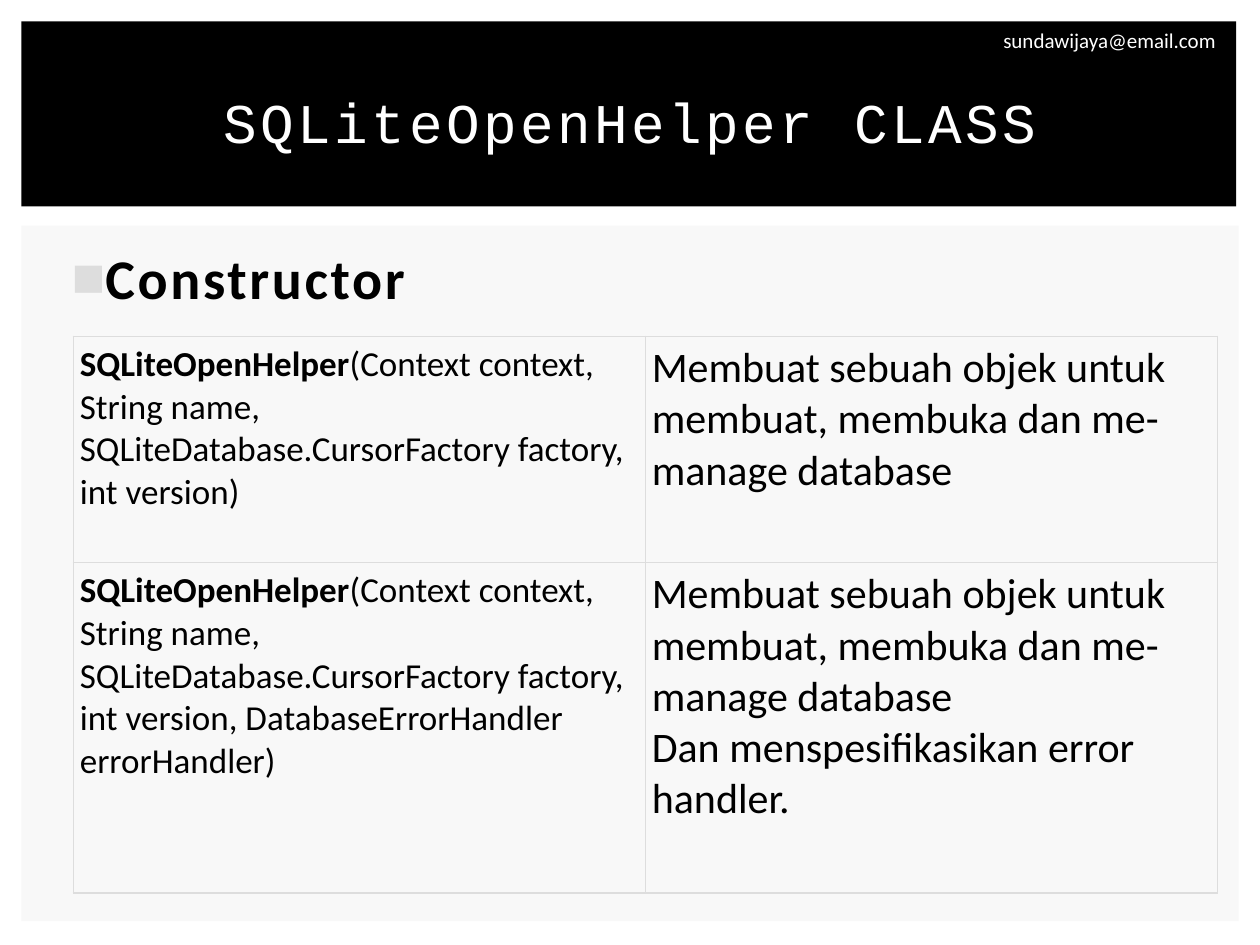
from dataclasses import dataclass

from lxml import etree
from pptx import Presentation
from pptx import util as u
from pptx.dml.color import RGBColor
from pptx.enum import shapes, text
from pptx.oxml.ns import qn

EMAIL = "sundawijaya@email.com"
TITLE = "SQLiteOpenHelper CLASS"
HEADING = "Constructor"
CLASS_NAME = "SQLiteOpenHelper"
PARAMETERS = "(Context context, String name, SQLiteDatabase.CursorFactory factory, int version"
PURPOSE = "Membuat sebuah objek untuk membuat, membuka dan me-manage database"
CONSTRUCTORS = [
    (PARAMETERS + ")", [PURPOSE]),
    (PARAMETERS + ", DatabaseErrorHandler errorHandler)",
     [PURPOSE, "Dan menspesifikasikan error handler."]),
]

# left, top, width, height in centimetres
BANNER = (0.43, 0.43, 24.49, 3.73)
PANEL = (0.43, 4.55, 24.54, 14.02)
EMAIL_BOX = (15.44, 0.43, 9.32, 0.76)
TITLE_BOX = (1.07, 0.99, 23.29, 2.92)
BODY_BOX = (1.07, 4.78, 23.34, 12.24)
TABLE_BOX = (1.48, 6.78, 23.06, 11.22)
ROW_HEIGHTS = (4.56, 6.66)
CELL_INSET = 0.13


@dataclass(frozen=True)
class Theme:
    dark: str = "000000"
    light: str = "FFFFFF"
    panel: str = "F8F8F8"
    accent: str = "DDDDDD"
    sans: str = "Calibri"
    mono: str = "Courier New"
    heading: int = 32
    purpose: int = 24
    signature: int = 20
    email: int = 12


THEME = Theme()


def place(box):
    return [u.Cm(length) for length in box]


def move(shape, box):
    shape.left, shape.top, shape.width, shape.height = place(box)


def apply(target, values):
    for name, value in values.items():
        setattr(target, name, value)


def add_span(para, words, size, color=THEME.dark, face=THEME.sans, bold=False, spacing=0):
    """Add a formatted run; spacing is the letter spacing in points."""
    span = para.add_run()
    span.text = words
    apply(span.font, {"size": u.Pt(size), "name": face, "bold": bold})
    span.font.color.rgb = RGBColor.from_string(color)
    if spacing:
        span.font._element.set("spc", str(int(spacing * 100)))


def add_color(parent, color):
    etree.SubElement(parent, qn("a:srgbClr"), val=color)


def add_block(page, box, color):
    block = page.shapes.add_shape(shapes.MSO_SHAPE.RECTANGLE, *place(box))
    block.shadow.inherit = False
    block.fill.solid()
    block.fill.fore_color.rgb = RGBColor.from_string(color)
    block.line.fill.background()
    return block


def add_bullet(para, symbol):
    properties = para._p.get_or_add_pPr()
    properties.set("marL", str(u.Cm(0.76)))
    properties.set("indent", str(-u.Cm(0.64)))
    add_color(etree.SubElement(properties, qn("a:buClr")), THEME.accent)
    etree.SubElement(properties, qn("a:buChar"), char=symbol)


def format_cell(cell):
    """Draw the borders, clear the fill and set the insets."""
    properties = cell._tc.get_or_add_tcPr()
    for side in ("lnL", "lnR", "lnT", "lnB"):
        border = etree.SubElement(properties, qn("a:" + side), w=str(u.Pt(1)))
        add_color(etree.SubElement(border, qn("a:solidFill")), THEME.accent)
    cell.fill.background()
    cell.vertical_anchor = text.MSO_ANCHOR.TOP
    sides = ("left", "right", "top", "bottom")
    apply(cell, {f"margin_{side}": u.Cm(CELL_INSET) for side in sides})


def add_constructors(page):
    frame = page.shapes.add_table(len(CONSTRUCTORS), 2, *place(TABLE_BOX))
    table = frame.table
    apply(table, {"first_row": False, "horz_banding": False})
    for row, height in zip(table.rows, ROW_HEIGHTS):
        row.height = u.Cm(height)
    for row, (parameters, purposes) in zip(table.rows, CONSTRUCTORS):
        signature, purpose = row.cells
        para = signature.text_frame.paragraphs[0]
        add_span(para, CLASS_NAME, THEME.signature, bold=True)
        add_span(para, parameters, THEME.signature)
        for number, words in enumerate(purposes):
            box = purpose.text_frame
            para = box.add_paragraph() if number else box.paragraphs[0]
            add_span(para, words, THEME.purpose)
        for cell in (signature, purpose):
            format_cell(cell)


def main():
    deck = Presentation()
    deck.slide_width, deck.slide_height = u.Cm(25.4), u.Cm(19.05)
    page = deck.slides.add_slide(deck.slide_layouts[1])
    title, body = page.placeholders

    for box, color in ((PANEL, THEME.panel), (BANNER, THEME.dark)):
        block = add_block(page, box, color)
        title.element.addprevious(block.element)  # behind the placeholders

    move(title, TITLE_BOX)
    apply(title.text_frame, {"word_wrap": True, "auto_size": text.MSO_AUTO_SIZE.NONE,
                             "vertical_anchor": text.MSO_ANCHOR.MIDDLE})
    para = title.text_frame.paragraphs[0]
    para.alignment = text.PP_ALIGN.CENTER
    add_span(para, TITLE, THEME.heading, THEME.light, THEME.mono, spacing=2)

    move(body, BODY_BOX)
    apply(body.text_frame, {"word_wrap": True, "auto_size": text.MSO_AUTO_SIZE.NONE,
                            "vertical_anchor": text.MSO_ANCHOR.TOP})
    para = body.text_frame.paragraphs[0]
    add_bullet(para, "■")
    para.space_before = u.Pt(0)
    add_span(para, HEADING, THEME.heading, bold=True, spacing=1.5)

    email = page.shapes.add_textbox(*place(EMAIL_BOX))
    email.text_frame.word_wrap = True
    para = email.text_frame.paragraphs[0]
    para.alignment = text.PP_ALIGN.RIGHT
    add_span(para, EMAIL, THEME.email, THEME.light)

    add_constructors(page)
    deck.save("out.pptx")


if __name__ == "__main__":
    main()
